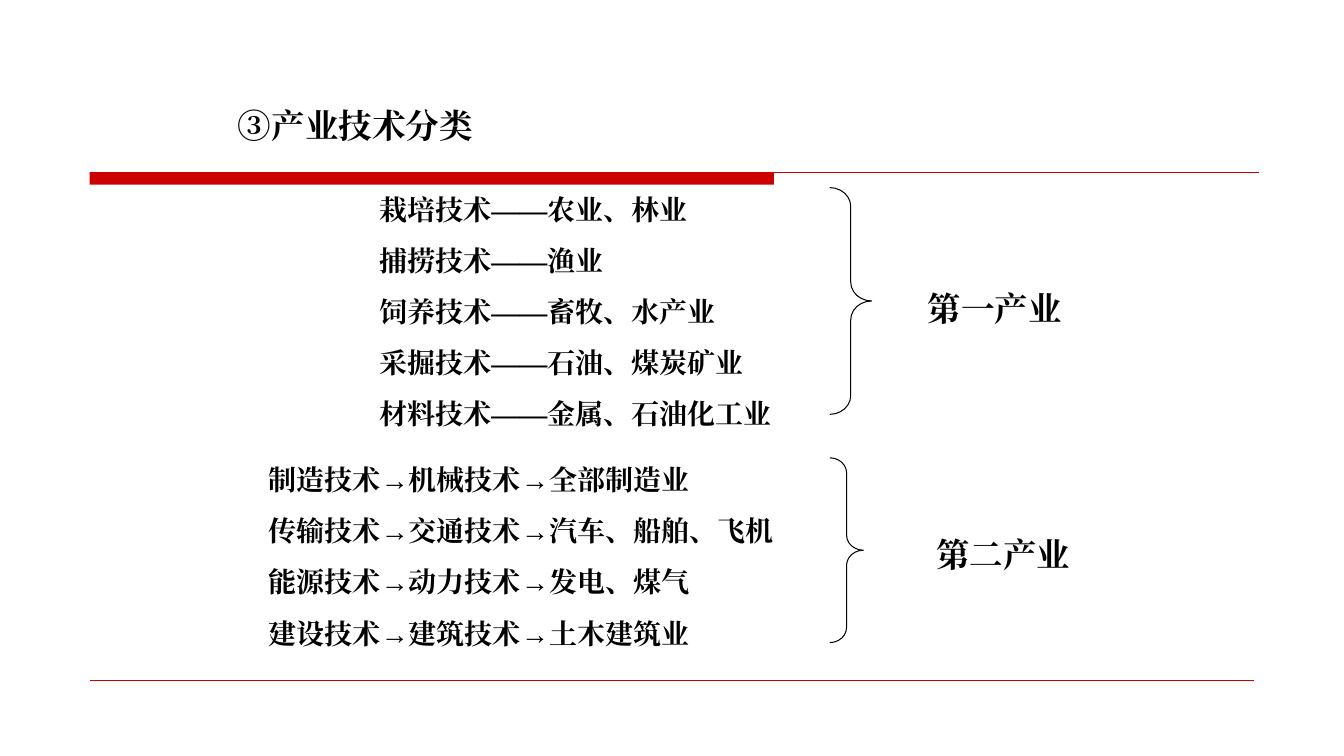
from dataclasses import dataclass

import lxml.etree
import pptx
import pptx.dml.color
import pptx.enum.lang
import pptx.enum.shapes
import pptx.oxml.ns
import pptx.slide
import pptx.util

Pt = pptx.util.Pt
RGBColor = pptx.dml.color.RGBColor


@dataclass(frozen=True)
class Theme:
    font: str = "Times New Roman"
    ink: RGBColor = RGBColor(0x00, 0x00, 0x00)
    accent: RGBColor = RGBColor(0xCC, 0x00, 0x00)
    heading_size: float = 24
    list_size: float = 20
    list_gap: float = 12.5


@dataclass(frozen=True)
class TextBlock:
    left: float
    top: float
    width: float
    height: float
    size: float
    lines: tuple[str, ...]


@dataclass(frozen=True)
class Brace:
    left: float
    top: float
    width: float
    height: float


@dataclass(frozen=True)
class Rule:
    left: float
    right: float
    y: float
    weight: float


THEME = Theme()

TEXT_BLOCKS = (
    TextBlock(163, 71.3, 192, 36, THEME.heading_size, ("③产业技术分类",)),
    TextBlock(264, 134, 306, 177, THEME.list_size, (
        "栽培技术——农业、林业",
        "捕捞技术——渔业",
        "饲养技术——畜牧、水产业",
        "采掘技术——石油、煤炭矿业",
        "材料技术——金属、石油化工业",
    )),
    TextBlock(656, 202.3, 120, 36, THEME.heading_size, ("第一产业",)),
    TextBlock(185, 327, 402, 141, THEME.list_size, (
        "制造技术→机械技术→全部制造业",
        "传输技术→交通技术→汽车、船舶、飞机",
        "能源技术→动力技术→发电、煤气",
        "建设技术→建筑技术→土木建筑业",
    )),
    TextBlock(662, 378, 120, 36, THEME.heading_size, ("第二产业",)),
)
BRACES = (Brace(593, 134, 30, 162), Brace(593, 327, 24, 132))
RULES = (Rule(64, 899.5, 123, 0.75), Rule(64, 896.5, 486, 0.25))


def draw_rule(page: pptx.slide.Slide, rule: Rule) -> None:
    line = page.shapes.add_connector(
        pptx.enum.shapes.MSO_CONNECTOR.STRAIGHT,
        Pt(rule.left), Pt(rule.y), Pt(rule.right), Pt(rule.y),
    )
    line.line.color.rgb = THEME.accent
    line.line.width = Pt(rule.weight)
    properties = line.element.find(pptx.oxml.ns.qn("p:spPr"))
    lxml.etree.SubElement(properties, pptx.oxml.ns.qn("a:effectLst"))


def draw_title_bar(page: pptx.slide.Slide) -> None:
    bar = page.shapes.add_shape(
        pptx.enum.shapes.MSO_SHAPE.RECTANGLE, Pt(64), Pt(123), Pt(489), Pt(9)
    )
    bar.shadow.inherit = False
    bar.fill.solid()
    bar.fill.fore_color.rgb = THEME.accent
    bar.line.fill.background()


def draw_brace(page: pptx.slide.Slide, brace: Brace) -> None:
    shape = page.shapes.add_shape(
        pptx.enum.shapes.MSO_SHAPE.RIGHT_BRACE,
        Pt(brace.left), Pt(brace.top), Pt(brace.width), Pt(brace.height),
    )
    shape.shadow.inherit = False
    shape.adjustments[0] = 0.45
    shape.fill.background()
    shape.line.color.rgb = THEME.ink
    shape.line.width = Pt(0.75)


def draw_text(page: pptx.slide.Slide, block: TextBlock) -> None:
    box = page.shapes.add_textbox(
        Pt(block.left), Pt(block.top), Pt(block.width), Pt(block.height)
    )
    box.text_frame.word_wrap = True
    box.text_frame.text = "\n".join(block.lines)
    for index, para in enumerate(box.text_frame.paragraphs):
        para.space_before = Pt(THEME.list_gap if index else 0)
        for span in para.runs:
            span.font.name = THEME.font
            span.font.size = Pt(block.size)
            span.font.bold = True
            span.font.color.rgb = THEME.ink
            span.font.language_id = pptx.enum.lang.MSO_LANGUAGE_ID.SIMPLIFIED_CHINESE
            properties = span.font._element if hasattr(span.font, "_element") else span._r.get_or_add_rPr()
            lxml.etree.SubElement(
                properties, pptx.oxml.ns.qn("a:ea"), typeface=THEME.font
            )


def main() -> None:
    deck = pptx.Presentation()
    deck.slide_width, deck.slide_height = Pt(960.5), Pt(540)
    page = deck.slides.add_slide(deck.slide_layouts[6])
    draw_title_bar(page)
    for rule in RULES:
        draw_rule(page, rule)
    for block in TEXT_BLOCKS:
        draw_text(page, block)
    for brace in BRACES:
        draw_brace(page, brace)
    deck.save("out.pptx")


if __name__ == "__main__":
    main()
